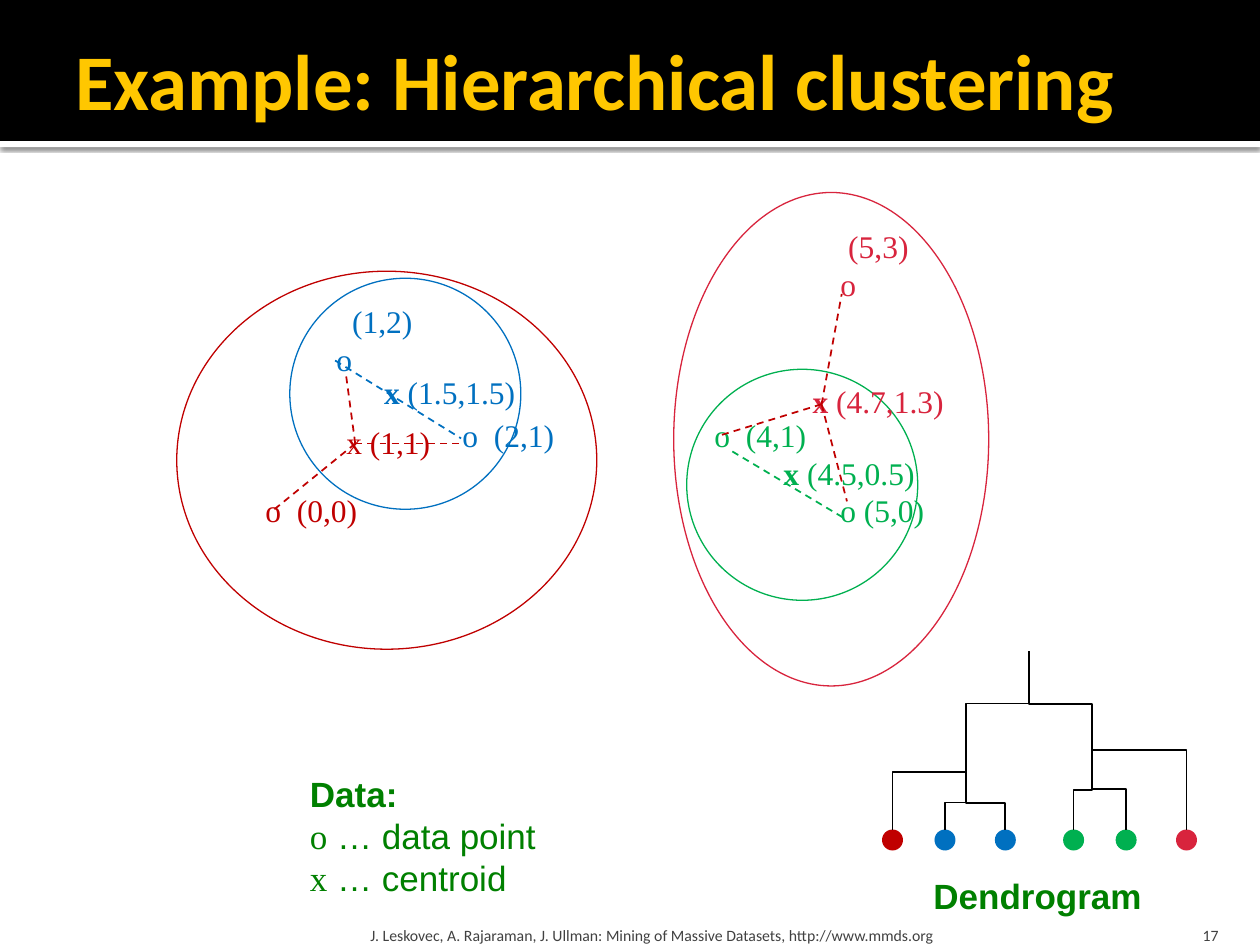
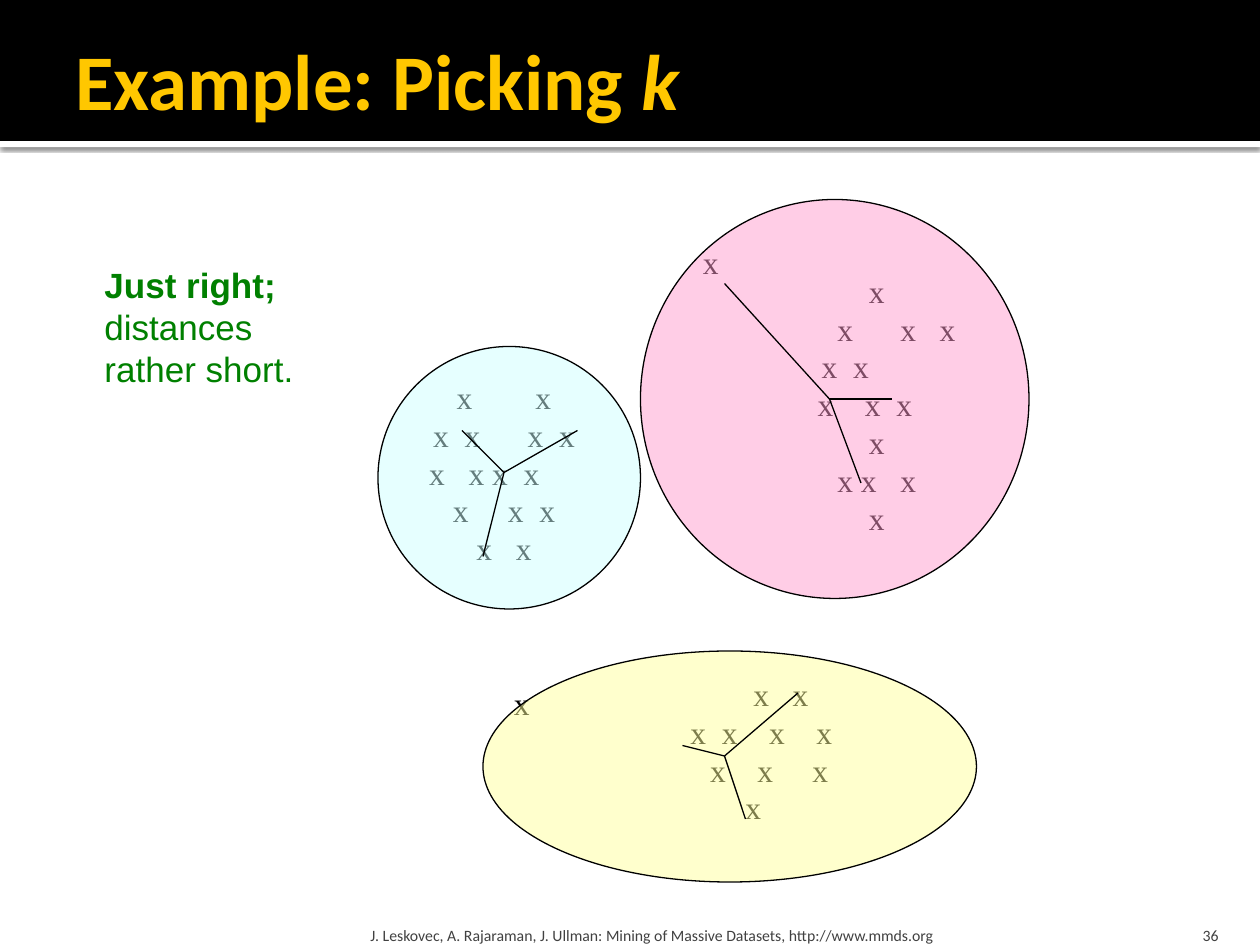
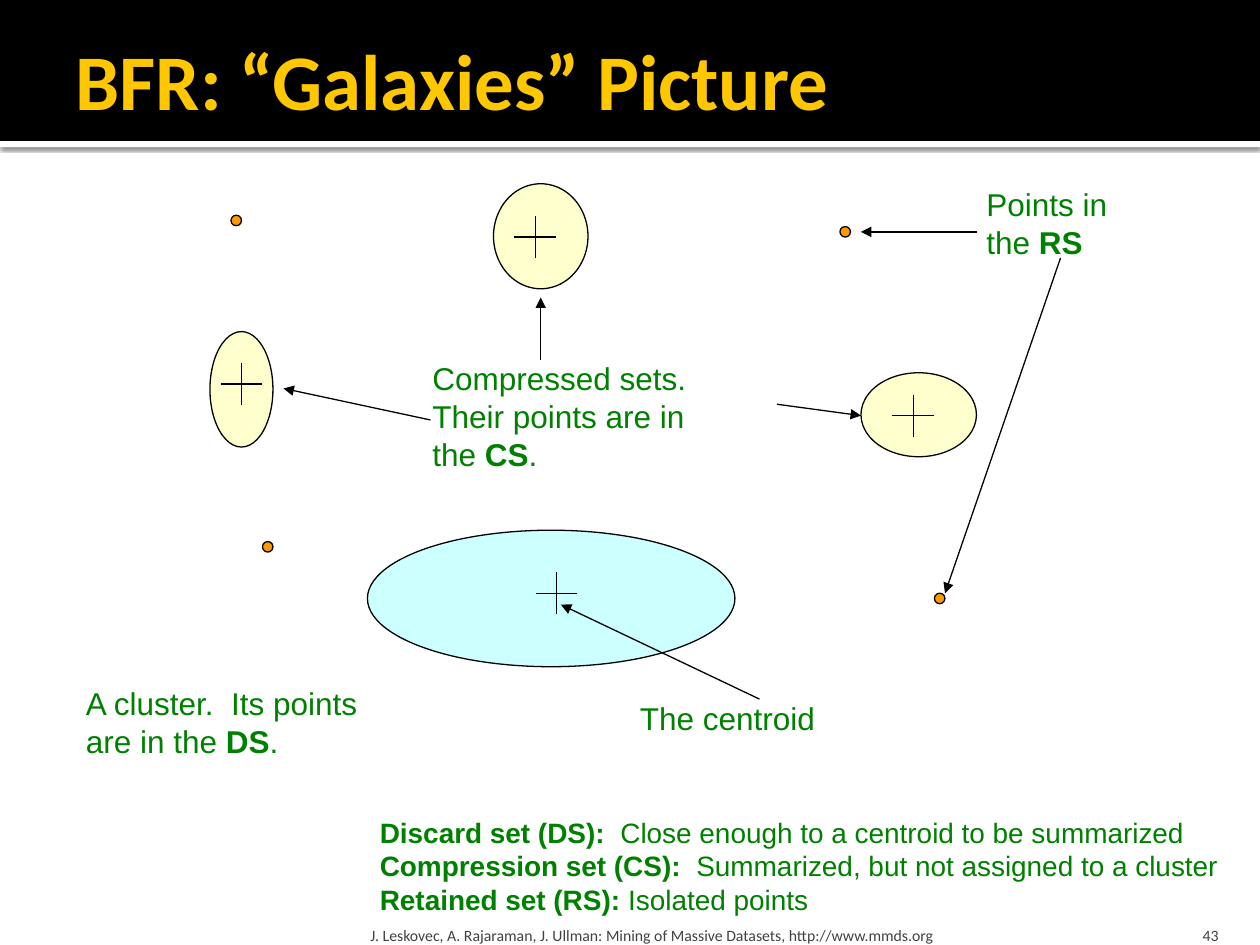
from dataclasses import dataclass, replace

from lxml.etree import SubElement
from pptx import Presentation
from pptx.dml.color import RGBColor as RGB
from pptx.enum.dml import MSO_LINE
from pptx.enum.shapes import MSO_CONNECTOR as CONN, MSO_SHAPE as SHAPE
from pptx.enum.text import MSO_ANCHOR as ANCHOR, MSO_AUTO_SIZE as AUTO, PP_ALIGN as ALIGN
from pptx.oxml.ns import qn
from pptx.util import Pt


@dataclass(frozen=True)
class Style:
    size: float
    font: str
    color: str
    bold: bool = False
    italic: bool = False


@dataclass(frozen=True)
class Theme:
    black: str = "000000"
    white: str = "FFFFFF"
    blue: str = "0070C0"
    green: str = "00B050"
    red: str = "C00000"
    crimson: str = "D8243D"
    yellow: str = "FFFF99"
    cyan: str = "CCFFFF"
    pink: str = "FF99CC"
    orange: str = "FF9900"
    thin: float = 0.75
    line: float = 1
    title: Style = Style(45, "Calibri", "FFC700", True)
    footer: Style = Style(9, "Calibri", "414141")
    legend: Style = Style(20, "Arial", "008000")
    note: Style = Style(18, "Arial", "008000")
    summary: Style = Style(16, "Arial", "008000")
    mark: Style = Style(18, "Times New Roman", "000000")


T = Theme()
LEADING = 1.2
SPACE = 4.5
FOOTER = "J. Leskovec, A. Rajaraman, J. Ullman: Mining of Massive Datasets, http://www.mmds.org"


def bold(style):
    return replace(style, bold=True)


def tint(color):
    return replace(T.mark, color=color)


def add_runs(p, runs):
    for text, style in runs:
        r = p.add_run()
        r.text = text
        r.font.size = Pt(style.size)
        r.font.name = style.font
        r.font.bold = style.bold
        r.font.italic = style.italic
        r.font.color.rgb = RGB.from_string(style.color)


def set_insets(tf, left, top, right, bottom):
    tf.margin_left, tf.margin_top = Pt(left), Pt(top)
    tf.margin_right, tf.margin_bottom = Pt(right), Pt(bottom)


def text_box(s, left, top, width, height, paragraphs, insets=(7.2, 3.6, 7.2, 3.6),
             anchor=ANCHOR.TOP, align=ALIGN.LEFT):
    tf = s.shapes.add_textbox(Pt(left), Pt(top), Pt(width), Pt(height)).text_frame
    tf.word_wrap = True
    tf.vertical_anchor = anchor
    set_insets(tf, *insets)
    for i, runs in enumerate(paragraphs):
        p = tf.add_paragraph() if i else tf.paragraphs[0]
        p.alignment = align
        p.line_spacing = Pt(runs[0][1].size * LEADING)
        add_runs(p, runs)
    return tf


def tabbed_box(s, left, top, width, height, rows):
    paragraphs = [[("\t" + text, style) for _, text, style in row] for row in rows]
    tf = text_box(s, left, top, width, height, paragraphs, insets=(0, 0, 0, 0))
    for p, row in zip(tf.paragraphs, rows):
        tabs = SubElement(p._p.get_or_add_pPr(), qn("a:tabLst"))
        for x, _, _ in row:
            SubElement(tabs, qn("a:tab"), pos=str(Pt(x)), algn="l")
    return tf


def mark_cluster(s, cx, cy, patterns):
    width, height = 144, len(patterns) * T.mark.size * LEADING
    rows = []
    for pattern in patterns:
        advances = [SPACE * (2 if c == "x" else 1) for c in pattern]
        start = (width - sum(advances)) / 2
        rows.append([(start + sum(advances[:i]), "x", T.mark)
                     for i, c in enumerate(pattern) if c == "x"])
    tabbed_box(s, cx - width / 2, cy - height / 2, width, height, rows)


def add_shape(s, kind, left, top, width, height, fill=None, line=None, alpha=None):
    sp = s.shapes.add_shape(kind, Pt(left), Pt(top), Pt(width), Pt(height))
    sp.shadow.inherit = False
    if fill:
        sp.fill.solid()
        sp.fill.fore_color.rgb = RGB.from_string(fill)
    else:
        sp.fill.background()
    if alpha:
        color = sp.element.spPr.find(qn("a:solidFill"))[0]
        SubElement(color, qn("a:alpha"), val=str(alpha * 1000))
    if line:
        sp.line.color.rgb = RGB.from_string(line)
        sp.line.width = Pt(T.thin)
    else:
        sp.line.fill.background()
    return sp


def ellipse(s, left, top, width, height, **look):
    return add_shape(s, SHAPE.OVAL, left, top, width, height, **look)


def connector(s, kind, start, end, color, width):
    c = s.shapes.add_connector(kind, *(Pt(v) for v in (*start, *end)))
    c.line.color.rgb = RGB.from_string(color)
    c.line.width = Pt(width)
    SubElement(c.element.spPr, qn("a:effectLst"))
    return c


def line(s, start, end, color=T.black, width=T.thin):
    return connector(s, CONN.STRAIGHT, start, end, color, width)


def arrow(s, start, end):
    c = line(s, start, end)
    SubElement(c.line._get_or_add_ln(), qn("a:tailEnd"), type="triangle")


def dashed(s, start, end, color):
    line(s, start, end, color, T.line).line.dash_style = MSO_LINE.DASH


def spokes(s, hub, tips, draw=line, **look):
    for tip in tips:
        draw(s, hub, tip, **look)


def cross(s, cx, cy, arm=12):
    line(s, (cx, cy - arm), (cx, cy + arm))
    line(s, (cx - arm, cy), (cx + arm, cy))


def branch(s, start, end, bend=0.5):
    (x1, y1), (x2, y2) = start, end
    length, spread = abs(y2 - y1), abs(x2 - x1)
    left, top = (x1 + x2 - length) / 2, (y1 + y2 - spread) / 2
    near, far = left, left + length
    flipped = x2 < x1
    if flipped:
        near, far = far, near
    c = connector(s, CONN.ELBOW, (near, top), (far, top + spread), T.black, T.line)
    pr = c.element.spPr
    pr.find(qn("a:xfrm")).set("rot", str((90 if flipped else 270) * 60000))
    SubElement(pr.find(qn("a:prstGeom")).find(qn("a:avLst")), qn("a:gd"),
               name="adj1", fmla=f"val {round(bend * 100000)}")


def add_bands(s, layout):
    strip = add_shape(s, SHAPE.RECTANGLE, 0, 80.5, 720, 3.6, fill=T.white)
    header = add_shape(s, SHAPE.RECTANGLE, 0, 0, 720, 80.5, fill=T.black)
    effects = strip.element.spPr.find(qn("a:effectLst"))
    shadow = SubElement(effects, qn("a:outerShdw"), blurRad=str(Pt(2.5)),
                        dist=str(Pt(0.8)), dir="5400000", algn="t", rotWithShape="0")
    color = SubElement(shadow, qn("a:srgbClr"), val=T.black)
    SubElement(color, qn("a:alpha"), val="60000")
    for i, band in enumerate((strip, header)):
        layout.shapes.element.insert(2 + i, band.element)


def new_slide(prs, number, title):
    layout = prs.slide_layouts[5]
    s = prs.slides.add_slide(layout)
    if len(prs.slides) == 1:
        add_bands(s, layout)
    sp = s.shapes.title
    sp.left, sp.top, sp.width, sp.height = Pt(36), Pt(12), Pt(648), Pt(66)
    tf = sp.text_frame
    tf.auto_size = AUTO.NONE
    tf.vertical_anchor = ANCHOR.MIDDLE
    set_insets(tf, 7.2, 3.6, 3.6, 3.6)
    tf.paragraphs[0].alignment = ALIGN.LEFT
    add_runs(tf.paragraphs[0], title)
    text_box(s, 208, 518.4, 433.5, 21.6, [[(FOOTER, T.footer)]],
             insets=(3.6, 3.6, 3.6, 0), anchor=ANCHOR.BOTTOM)
    text_box(s, 646, 518.4, 57.5, 21.6, [[(str(number), T.footer)]],
             insets=(7.2, 3.6, 7.2, 0), anchor=ANCHOR.BOTTOM, align=ALIGN.RIGHT)
    return s


def data_points(s):
    blue, green = tint(T.blue), tint(T.green)
    red, crimson = tint(T.red), tint(T.crimson)
    tf = tabbed_box(s, 120.2, 129.6, 420, 173, [
        [(364.5, "(5,3)", crimson)],
        [(360, "o", crimson)],
        [(81, "(1,2)", blue)],
        [(72, "o", blue)],
        [(144, "o", blue), (162, "(2,1)", blue), (288, "o", green), (306, "(4,1)", green)],
        [(31.5, "o", red), (49.5, "(0,0)", red), (360, "o (5,0)", green)],
    ])
    for p in tf.paragraphs[4:]:
        p.space_before = Pt(T.mark.size * LEADING)


def dendrogram(s):
    leaves = [(510, T.red), (540, T.blue), (574.5, T.blue),
              (613.5, T.green), (643.5, T.green), (678, T.crimson)]
    joints = [(552, 408, 0.5), (552, 438, 0.43), (552, 444, 0.5),
              (624, 444, 0.76), (624, 426, 0.48), (624, 402, 0.63)]
    leaf_top, size = 474, 12
    for (x, color), (stem, y, bend) in zip(leaves, joints):
        ellipse(s, x - size / 2, leaf_top, size, size, fill=color)
        branch(s, (x, leaf_top), (stem, y), bend)
    root = (588, 372)
    branch(s, (552, 432), root)
    branch(s, (624, 420), root, 0.37)
    text_box(s, 526.3, 496, 138, 31.5, [[("Dendrogram", bold(T.legend))]])


def hierarchical_slide(prs):
    s = new_slide(prs, 17, [("Example: Hierarchical clustering", T.title)])
    data_points(s)
    dendrogram(s)
    symbol = replace(T.legend, font=T.mark.font)
    text_box(s, 170, 437.8, 148, 80, [
        [("Data:", bold(T.legend))],
        [("o", symbol), (" … data point", T.legend)],
        [("x", symbol), (" … centroid", T.legend)],
    ])
    clusters = [
        (T.blue, (165.6, 159, 132, 132), (212.4, 209.5), "(1.5,1.5)", True),
        (T.green, (392.4, 211, 132, 132), (440.6, 255.6), "(4.5,0.5)", True),
        (T.red, (101, 155, 240, 216), (190.8, 238.3), "(1,1)", False),
        (T.crimson, (385, 110, 180, 282), (457.2, 214.6), "(4.7,1.3)", True),
    ]
    for color, outline, spot, centroid, heavy in clusters:
        ellipse(s, *outline, line=color)
        style = tint(color)
        text_box(s, *spot, 98, 29, [[("x", replace(style, bold=heavy)), (f" {centroid}", style)]])
    dashed(s, (191.5, 206), (263.5, 250.5), T.blue)
    dashed(s, (418.5, 258), (483, 296.5), T.green)
    spokes(s, (203, 253.5), [(197.5, 212.5), (263.5, 253.5), (155, 292.5)],
           dashed, color=T.red)
    spokes(s, (469.5, 231), [(412.5, 248.5), (484, 286.5), (481, 168)],
           dashed, color=T.red)


def picking_slide(prs):
    s = new_slide(prs, 36, [("Example: Picking ", T.title), ("k", replace(T.title, italic=True))])
    mark_cluster(s, 288, 270, ["x........x", "x..x......x..x", "x...x.x..x.....",
                               "x.....x..x", "x...x"])
    mark_cluster(s, 501, 231, ["x", "xx....x", "x..x........", "x....x..x...",
                               "x", "x.x...x", "x"])
    mark_cluster(s, 435, 429, [".....x...x", "x..x....x....x", "..x....x.....x", "x.."])
    for left, top in [(394.6, 135.4), (286.6, 387.4)]:
        text_box(s, left, top, 27, 36, [[("x", T.mark)]])
    for box, color in [((276, 372, 282, 132), T.yellow),
                       ((216, 198, 150, 150), T.cyan),
                       ((366, 114, 222, 228), T.pink)]:
        ellipse(s, *box, fill=color, line=T.black, alpha=49)
    spokes(s, (288, 270), [(264, 246), (330, 246), (276, 318)])
    spokes(s, (414, 432), [(390, 426), (456, 396), (426, 468)])
    spokes(s, (474, 228), [(414, 162), (510, 228), (492, 276)])
    text_box(s, 52.6, 147, 126, 80, [
        [("Just right;", bold(T.legend))],
        [("distances", T.legend)],
        [("rather short.", T.legend)],
    ])


def galaxies_slide(prs):
    s = new_slide(prs, 43, [("BFR: “Galaxies” Picture", T.title)])
    note, strong = T.note, bold(T.note)
    ellipse(s, 210, 303, 210, 78, fill=T.cyan, line=T.black)
    for box in [(120, 189.5, 36, 66), (492, 213, 66, 48), (282, 105, 54, 60)]:
        ellipse(s, *box, fill=T.yellow, line=T.black, alpha=49)
    for center in [(318, 339), (138, 219.5), (522, 237.5), (306, 135.5)]:
        cross(s, *center)
    for left, top in [(132, 123), (150, 309.5), (534, 339), (480, 129.5)]:
        ellipse(s, left, top, 6, 6, fill=T.orange, line=T.black)
    text_box(s, 42, 387.5, 174, 51, [
        [("A cluster.  Its points", note)],
        [("are in the ", note), ("DS", strong), (".", note)],
    ])
    text_box(s, 358.6, 396, 118, 29, [[("The centroid", note)]])
    text_box(s, 240, 201.6, 164, 73, [
        [("Compressed sets.", note)],
        [("Their points are in", note)],
        [("the ", note), ("CS", strong), (".", note)],
    ])
    text_box(s, 556.6, 102.2, 88, 51, [
        [("Points in", note)],
        [("the ", note), ("RS", strong)],
    ])
    for start, end in [((434, 399.5), (320.5, 345.5)),
                       ((246, 240), (162, 222)),
                       ((309, 206), (309, 170)),
                       ((444, 231), (492, 237.5)),
                       ((558, 132.5), (492, 132.5)),
                       ((606, 147.5), (540, 339))]:
        arrow(s, start, end)
    definitions = [
        ("Discard set (DS):", "  Close enough to a centroid to be summarized"),
        ("Compression set (CS):", "  Summarized, but not assigned to a cluster"),
        ("Retained set (RS):", " Isolated points"),
    ]
    text_box(s, 210, 462.2, 504, 65.5,
             [[(term, bold(T.summary)), (meaning, T.summary)] for term, meaning in definitions])


def main():
    prs = Presentation()
    prs.slide_width, prs.slide_height = Pt(720), Pt(540)
    hierarchical_slide(prs)
    picking_slide(prs)
    galaxies_slide(prs)
    prs.save("out.pptx")


if __name__ == "__main__":
    main()
